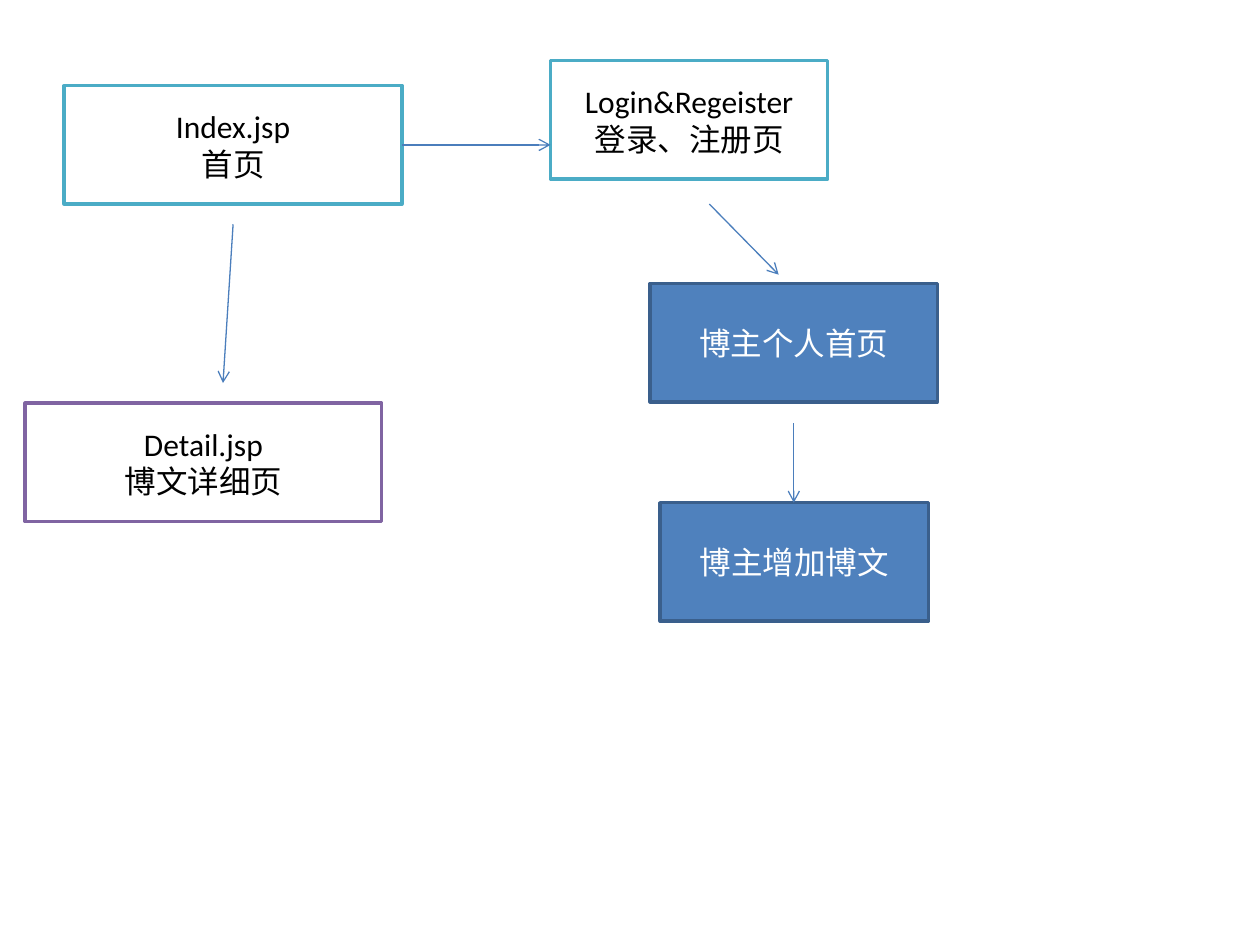
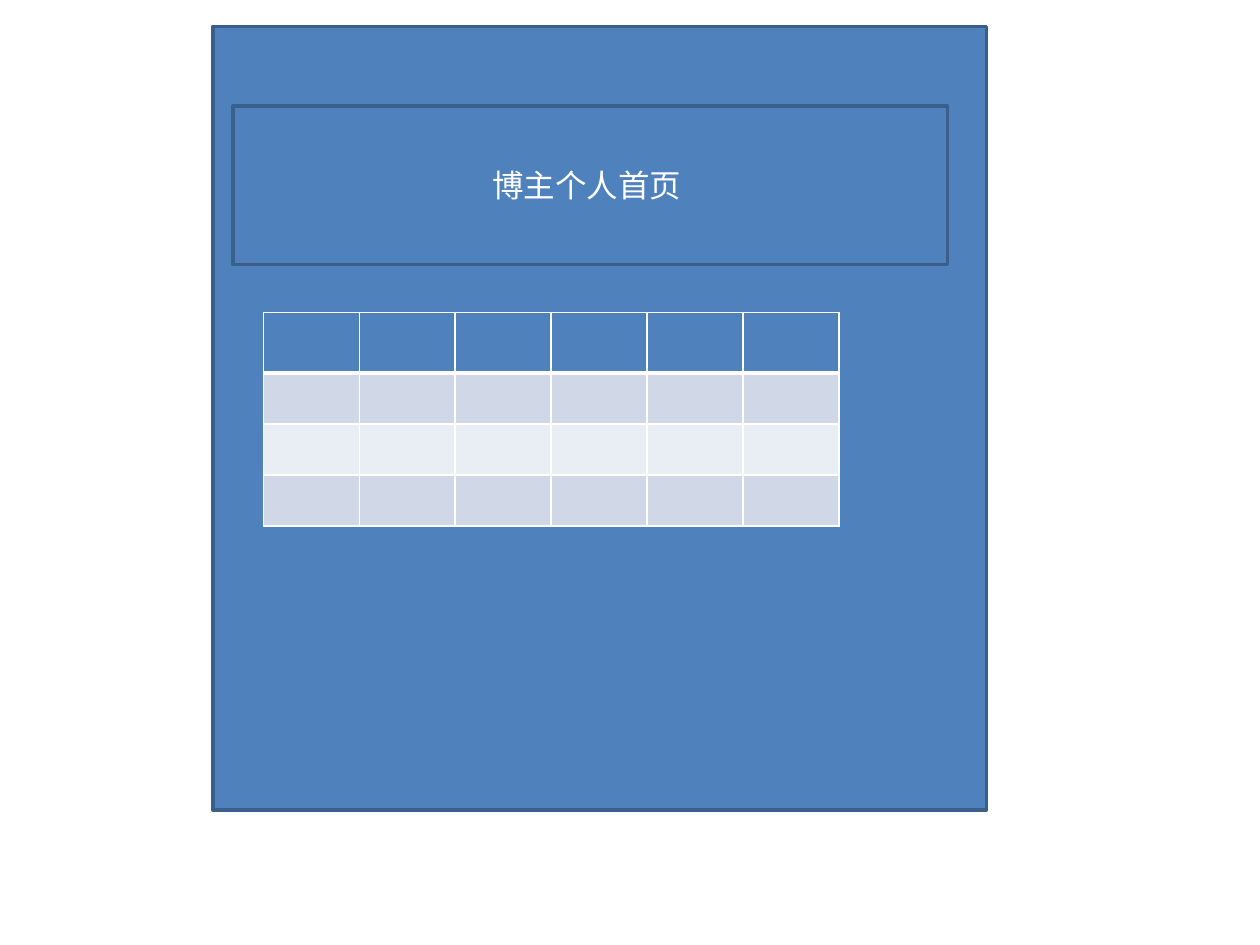
from lxml.etree import SubElement
from pptx import Presentation
from pptx.dml.color import RGBColor
from pptx.enum.shapes import MSO_CONNECTOR, MSO_SHAPE
from pptx.enum.text import MSO_ANCHOR, PP_ALIGN
from pptx.oxml import parse_xml
from pptx.oxml.ns import nsdecls, qn
from pptx.util import Inches, Pt

FONT = "Calibri"
COLORS = {
    "white": "FFFFFF", "black": "000000", "blue": "4F81BD", "navy": "3A5F8C",
    "teal": "4BACC6", "purple": "8064A2", "arrow": "4B7EBC",
    "band": "D0D8E8", "pale": "E9EDF4",
}

# Box styles: fill, line, text
STYLES = {
    "public": ("white", "teal", "black"),
    "detail": ("white", "purple", "black"),
    "owner": ("blue", "navy", "white"),
}

# Each box: style, (left, top, width, height), lines of text
FLOW = [
    ("public", (0.51, 0.68, 2.68, 0.94), ["Index.jsp", "首页"]),
    ("public", (4.37, 0.48, 2.2, 0.94), ["Login&Regeister", "登录、注册页"]),
    ("detail", (0.2, 3.2, 2.83, 0.94), ["Detail.jsp", "博文详细页"]),
    ("owner", (5.16, 2.25, 2.28, 0.94), ["博主个人首页"]),
    ("owner", (5.24, 3.99, 2.13, 0.94), ["博主增加博文"]),
]
ARROWS = [
    ((3.19, 1.15), (4.37, 1.15)),
    ((1.85, 1.78), (1.77, 3.04)),
    ((5.63, 1.62), (6.18, 2.18)),
    ((6.3, 3.36), (6.3, 3.99)),
]
PAGE = [
    ("owner", (1.69, 0.21, 6.14, 6.22), []),
    ("owner", (1.85, 0.84, 5.67, 1.26), ["博主个人首页 "]),
]
GRID = {"left": 2.09, "top": 2.48, "cols": 6, "width": 4.57,
        "rows": [("blue", 0.48), ("band", 0.4), ("pale", 0.4), ("band", 0.4)]}


def color(name):
    """Look up a named colour."""
    return RGBColor.from_string(COLORS[name])


def add_box(slide, style, place, lines):
    """Add a framed box with centred lines of text."""
    fill, edge, ink = STYLES[style]
    box = slide.shapes.add_shape(MSO_SHAPE.RECTANGLE, *map(Inches, place))
    box.shadow.inherit = False
    box.fill.solid()
    box.fill.fore_color.rgb = color(fill)
    box.line.color.rgb = color(edge)
    box.line.width = Pt(2)
    frame = box.text_frame
    frame.word_wrap = True
    frame.vertical_anchor = MSO_ANCHOR.MIDDLE
    for i, text in enumerate(lines):
        para = frame.add_paragraph() if i else frame.paragraphs[0]
        para.alignment = PP_ALIGN.CENTER
        run = para.add_run()
        run.text = text
        run.font.name = FONT
        run.font.size = Pt(18)
        run.font.color.rgb = color(ink)


def add_arrow(slide, start, end):
    """Add a thin line with an open arrowhead at its end."""
    link = slide.shapes.add_connector(
        MSO_CONNECTOR.STRAIGHT, *map(Inches, start + end))
    link.line.color.rgb = color("arrow")
    link.line.width = Pt(0.75)
    props = link._element.spPr
    SubElement(props.find(qn("a:ln")), qn("a:tailEnd"), type="arrow")
    SubElement(props, qn("a:effectLst"))


def set_edges(cell, top, bottom):
    """Draw white cell borders; top and bottom widths are in points."""
    props = cell._tc.get_or_add_tcPr()
    widths = {"L": 1, "R": 1, "T": top, "B": bottom}
    for i, (side, width) in enumerate(widths.items()):
        props.insert(i, parse_xml(
            f'<a:ln{side} {nsdecls("a")} w="{Pt(width)}"><a:solidFill>'
            f'<a:srgbClr val="{COLORS["white"]}"/></a:solidFill></a:ln{side}>'))


def add_grid(slide, grid):
    """Add the empty table with a header row and banded rows."""
    rows, cols = grid["rows"], grid["cols"]
    height = sum(size for _, size in rows)
    place = (grid["left"], grid["top"], grid["width"], height)
    table = slide.shapes.add_table(
        len(rows), cols, *map(Inches, place)).table
    for col in table.columns:
        col.width = Inches(grid["width"] / cols)
    for r, (fill, size) in enumerate(rows):
        table.rows[r].height = Inches(size)
        for cell in table.rows[r].cells:
            cell.fill.solid()
            cell.fill.fore_color.rgb = color(fill)
            set_edges(cell, 3 if r == 1 else 1, 3 if r == 0 else 1)


def add_slide(deck, boxes):
    """Add a blank slide holding the given boxes."""
    slide = deck.slides.add_slide(deck.slide_layouts[6])
    for box in boxes:
        add_box(slide, *box)
    return slide


deck = Presentation()
deck.slide_width, deck.slide_height = Inches(10), Inches(7.5)
flow = add_slide(deck, FLOW)
for start, end in ARROWS:
    add_arrow(flow, start, end)
page = add_slide(deck, PAGE)
add_grid(page, GRID)
deck.save("out.pptx")
